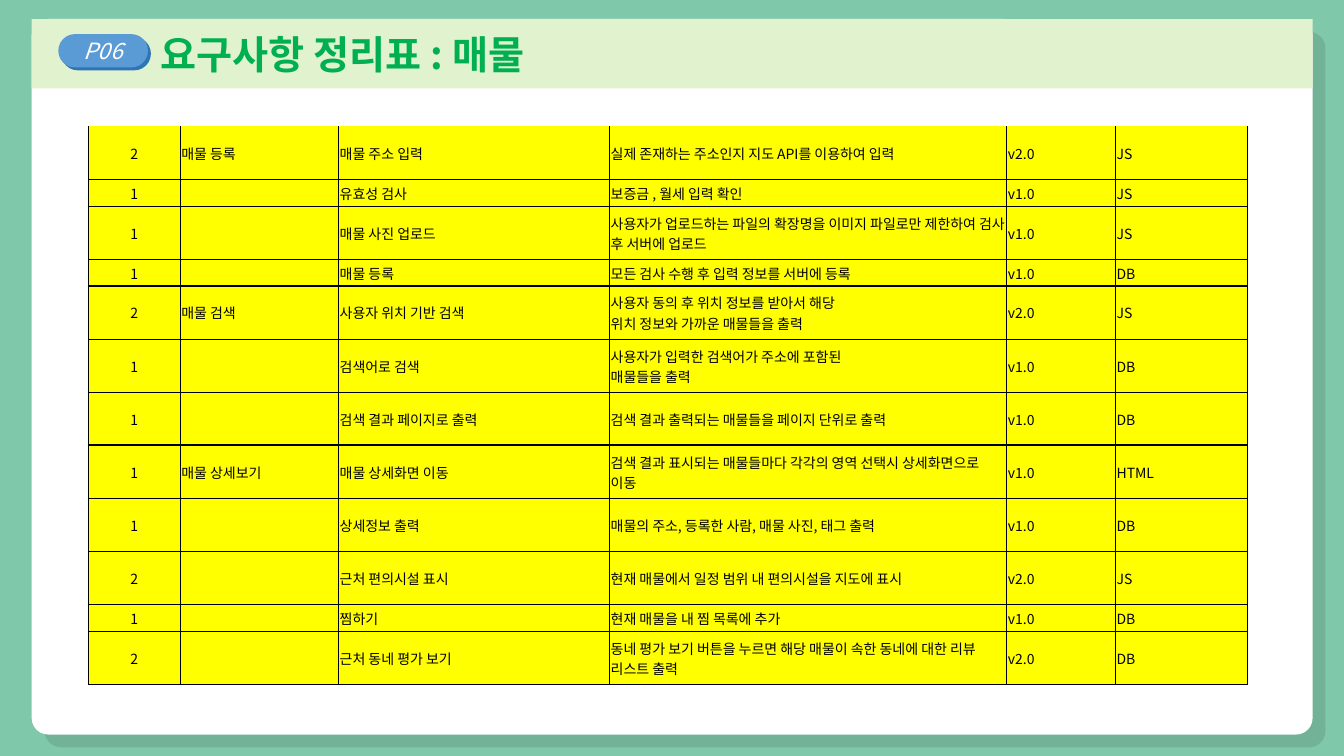
"""Requirements table slide for the property listing feature."""
from lxml import etree
from pptx import Presentation
from pptx.dml.color import RGBColor
from pptx.enum import shapes, text
from pptx.oxml import ns
from pptx.util import Cm, Pt

FONT = "Noto Sans CJK KR"
COLORS = {
    "background": "7FC8AA",
    "card": "FFFFFF",
    "band": "E1F2CE",
    "title": "00B050",
    "pill": "5B9BD5",
    "pill_shadow": "2E75B6",
    "cell": "FFFF00",
    "ink": "000000",
}
WIDTHS = [2.31, 3.99, 6.83, 10.01, 2.74, 3.33]
TALL, SHORT = 1.34, 0.67
THIN, MEDIUM, THICK = 0.5, 1, 1.5
GROUP_ENDS = {3, 6, 11}
ROWS = [
    (TALL, 2, "매물 등록", "매물 주소 입력", "실제 존재하는 주소인지 지도 API를 이용하여 입력", "JS"),
    (SHORT, 1, "", "유효성 검사", "보증금 , 월세 입력 확인", "JS"),
    (TALL, 1, "", "매물 사진 업로드",
     "사용자가 업로드하는 파일의 확장명을 이미지 파일로만 제한하여 검사 후 서버에 업로드", "JS"),
    (SHORT, 1, "", "매물 등록", "모든 검사 수행 후 입력 정보를 서버에 등록", "DB"),
    (TALL, 2, "매물 검색", "사용자 위치 기반 검색",
     "사용자 동의 후 위치 정보를 받아서 해당 \n위치 정보와 가까운 매물들을 출력", "JS"),
    (TALL, 1, "", "검색어로 검색", "사용자가 입력한 검색어가 주소에 포함된 \n매물들을 출력", "DB"),
    (TALL, 1, "", "검색 결과 페이지로 출력", "검색 결과 출력되는 매물들을 페이지 단위로 출력", "DB"),
    (TALL, 1, "매물 상세보기", "매물 상세화면 이동",
     "검색 결과 표시되는 매물들마다 각각의 영역 선택시 상세화면으로 이동", "HTML"),
    (TALL, 1, "", "상세정보 출력", "매물의 주소, 등록한 사람, 매물 사진, 태그 출력", "DB"),
    (TALL, 2, "", "근처 편의시설 표시", "현재 매물에서 일정 범위 내 편의시설을 지도에 표시", "JS"),
    (SHORT, 1, "", "찜하기", "현재 매물을 내 찜 목록에 추가", "DB"),
    (TALL, 2, "", "근처 동네 평가 보기",
     "동네 평가 보기 버튼을 누르면 해당 매물이 속한 동네에 대한 리뷰 리스트 출력", "DB"),
]


def add(parent, tag, **attrs):
    return etree.SubElement(parent, ns.qn(tag), {k: str(v) for k, v in attrs.items()})


def write(p, content, size, color):
    p.text = content
    for r in p.runs:
        r.font.size = Pt(size)
        r.font.name = FONT
        r.font.color.rgb = RGBColor.from_string(COLORS[color])
        add(r.font._element, "a:ea", typeface=FONT)
    for br in p._p.findall(ns.qn("a:br")):
        add(br, "a:rPr", sz=size * 100)
    add(p._p, "a:endParaRPr", sz=size * 100)


prs = Presentation()
prs.slide_width, prs.slide_height = Cm(33.87), Cm(19.05)
s = prs.slides.add_slide(prs.slide_layouts[5])
s.background.fill.solid()
s.background.fill.fore_color.rgb = RGBColor.from_string(COLORS["background"])

panels = {}
for name, box, radius, shadow, alpha, distance in [
    ("card", (0.8, 0.48, 32.28, 18.03), 0.023, "ink", 10, 13),
    ("pill", (1.47, 0.86, 2.26, 0.84), 0.5, "pill_shadow", 100, 3),
]:
    sp = s.shapes.add_shape(shapes.MSO_SHAPE.ROUNDED_RECTANGLE, *map(Cm, box))
    sp.adjustments[0] = radius
    sp.fill.solid()
    sp.fill.fore_color.rgb = RGBColor.from_string(COLORS[name])
    sp.line.fill.background()
    effects = add(sp._element.spPr, "a:effectLst")
    outer = add(effects, "a:outerShdw", blurRad=0, dist=Pt(distance), dir=45 * 60000,
                algn="tl", rotWithShape=0)
    add(add(outer, "a:srgbClr", val=COLORS[shadow]), "a:alpha", val=alpha * 1000)
    panels[name] = sp

tf = panels["pill"].text_frame
tf.vertical_anchor = text.MSO_ANCHOR.MIDDLE
p = tf.paragraphs[0]
p.alignment = text.PP_ALIGN.CENTER
write(p, "P06", 16, "card")
p.runs[0].font.italic = True

title = s.shapes.title
title.left, title.top, title.width, title.height = map(Cm, (0.8, 0.48, 32.28, 1.75))
add(add(title._element.spPr, "a:prstGeom", prst="round2SameRect"), "a:avLst")
title.fill.solid()
title.fill.fore_color.rgb = RGBColor.from_string(COLORS["band"])
panels["card"]._element.addnext(title._element)
tf = title.text_frame
tf.auto_size = text.MSO_AUTO_SIZE.NONE
tf.vertical_anchor = text.MSO_ANCHOR.MIDDLE
p = tf.paragraphs[0]
p.alignment = text.PP_ALIGN.LEFT
p.line_spacing = 1.0
write(p, "요구사항 정리표 : 매물", 28, "title")
p.runs[0].font.bold = True
p._p.get_or_add_pPr().set("marL", str(Cm(3)))

frame = s.shapes.add_table(len(ROWS), len(WIDTHS), Cm(2.23), Cm(3.18), Cm(29.21), Cm(14.07))
table = frame.table
table.first_row = table.horz_banding = False
for column, width in zip(table.columns, WIDTHS):
    column.width = Cm(width)

for i, (height, priority, group, feature, detail, tech) in enumerate(ROWS):
    table.rows[i].height = Cm(height)
    values = [str(priority), group, feature, detail, f"v{priority}.0", tech]
    for j, value in enumerate(values):
        cell = table.cell(i, j)
        cell.margin_left = cell.margin_right = cell.margin_top = Cm(0.03)
        cell.margin_bottom = 0
        cell.vertical_anchor = text.MSO_ANCHOR.MIDDLE
        p = cell.text_frame.paragraphs[0]
        if j == 0:
            p.alignment = text.PP_ALIGN.CENTER
        write(p, value, 10, "ink")
        borders = {
            "a:lnL": MEDIUM if j == 0 else THIN,
            "a:lnR": THICK if j == len(WIDTHS) - 1 else THIN,
            "a:lnT": 0 if i == 0 else THICK if i - 1 in GROUP_ENDS else THIN,
            "a:lnB": THICK if i in GROUP_ENDS else THIN,
        }
        for tag, weight in borders.items():
            ln = add(cell._tc.get_or_add_tcPr(), tag, w=Pt(weight))
            if weight:
                add(add(ln, "a:solidFill"), "a:srgbClr", val=COLORS["ink"])
            else:
                add(ln, "a:noFill")
        cell.fill.solid()
        cell.fill.fore_color.rgb = RGBColor.from_string(COLORS["cell"])

prs.save("out.pptx")
